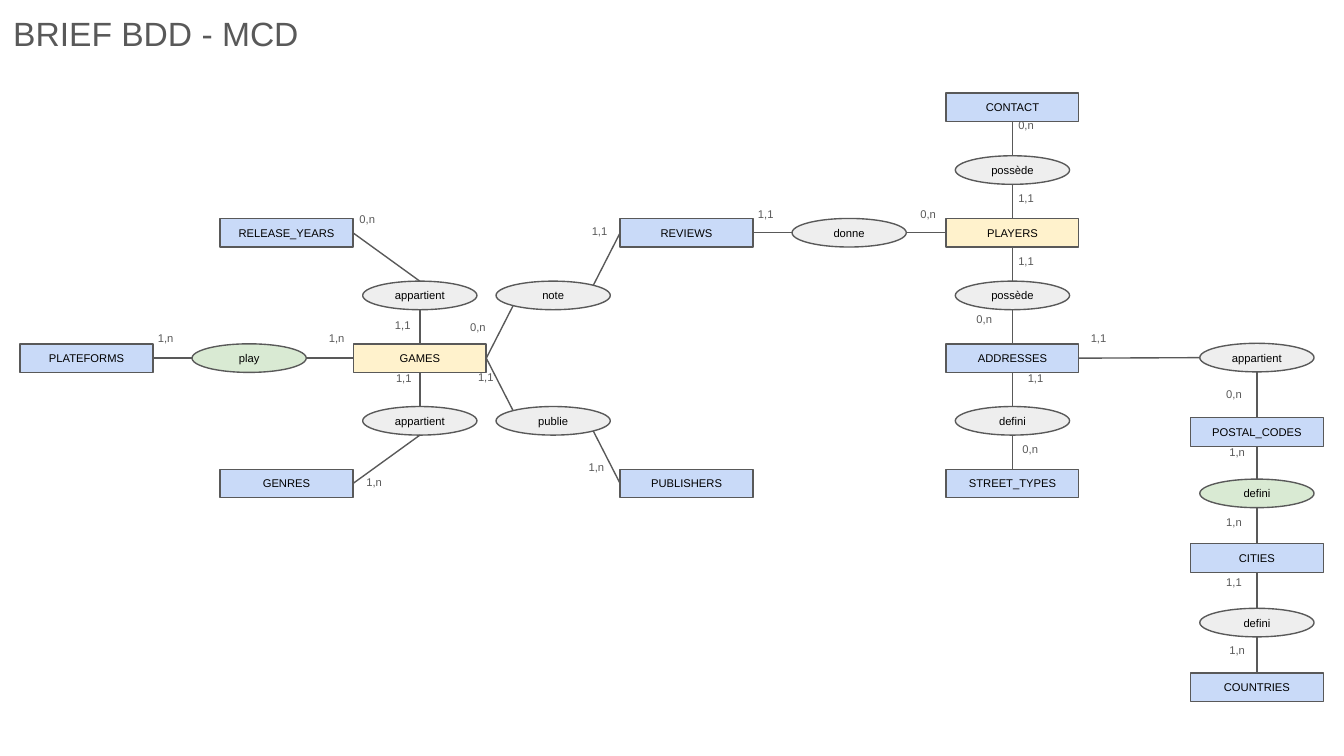
from lxml import etree
from pptx import Presentation
from pptx.dml.color import RGBColor
from pptx.enum.shapes import MSO_CONNECTOR, MSO_SHAPE
from pptx.enum.text import MSO_ANCHOR, MSO_AUTO_SIZE, PP_ALIGN
from pptx.oxml.ns import qn
from pptx.util import Cm, Pt

RECTANGLE, OVAL = MSO_SHAPE.RECTANGLE, MSO_SHAPE.OVAL
STRAIGHT = MSO_CONNECTOR.STRAIGHT
MIDDLE, TOP = MSO_ANCHOR.MIDDLE, MSO_ANCHOR.TOP
CENTER, LEFT = PP_ALIGN.CENTER, PP_ALIGN.LEFT
FIT, NO_FIT = MSO_AUTO_SIZE.SHAPE_TO_FIT_TEXT, MSO_AUTO_SIZE.NONE

COLORS = {"main": "FFF2CC", "entity": "C9DAF8", "relation": "EEEEEE",
          "many": "D9EAD3", "line": "595959", "label": "595959", "text": "000000"}
ENTITY_W, RELATION_W, NODE_H = 2.51, 2.16, 0.54
LABEL_W, LABEL_H = 0.97, 0.76
COLUMN_STEP = 2.52

# Attachment points as fractions of a node's size, from its centre
SIDES = {"top": (0, -0.5), "bottom": (0, 0.5), "left": (-0.5, 0), "right": (0.5, 0),
         "top left": (-0.35, -0.35), "top right": (0.35, -0.35),
         "bottom left": (-0.35, 0.35), "bottom right": (0.35, 0.35)}


def color(key):
    return RGBColor.from_string(COLORS[key])


def write(shape, text, size, ink, align, anchor, fit):
    frame = shape.text_frame
    frame_format = {"word_wrap": True, "vertical_anchor": anchor, "auto_size": fit}
    for side in ("left", "right", "top", "bottom"):
        frame_format[f"margin_{side}"] = Cm(0.25)
    for name, value in frame_format.items():
        setattr(frame, name, value)
    paragraph = frame.paragraphs[0]
    paragraph.text, paragraph.alignment = text, align
    for name, value in {"name": "Arial", "size": Pt(size)}.items():
        setattr(paragraph.font, name, value)
    paragraph.font.color.rgb = color(ink)


def add_label(slide, box, text, size):
    label = slide.shapes.add_textbox(*map(Cm, box))
    write(label, text, size, "label", LEFT, TOP, FIT)


def add_node(slide, outline, center, width, text, fill):
    """Draw an entity or a relation and return its centre and width."""
    x, y = center
    node = slide.shapes.add_shape(outline, Cm(x - width / 2), Cm(y - NODE_H / 2),
                                  Cm(width), Cm(NODE_H))
    node.shadow.inherit = False
    node.fill.solid()
    node.fill.fore_color.rgb = color(fill)
    node.line.color.rgb = color("line")
    node.line.width = Pt(0.75)
    write(node, text, 6, "text", CENTER, MIDDLE, NO_FIT)
    return x, y, width


def side_point(node, side):
    x, y, width = node
    across, down = SIDES[side]
    return Cm(x + across * width), Cm(y + down * NODE_H)


def add_link(slide, start, end):
    link = slide.shapes.add_connector(STRAIGHT, *start, *end)
    link.line.color.rgb = color("line")
    link.line.width = Pt(0.75)
    etree.SubElement(link._element.spPr, qn("a:effectLst"))


def draw_part(slide, box, rows, entities, relations, neighbors):
    """Draw entities, then relations with their legs, on the grid of the box.

    A leg is: entity, its side, side of the relation, cardinality,
    and the offset of the cardinality from the entity's centre.
    """
    left, top, height = box
    row_step = (height - NODE_H) / (rows - 1)

    def center(column, row):
        return (left + ENTITY_W / 2 + column * COLUMN_STEP,
                top + NODE_H / 2 + row * row_step)

    known = dict(neighbors)
    for name, fill, column, row in entities:
        known[name] = add_node(slide, RECTANGLE, center(column, row), ENTITY_W, name, fill)
    for name, fill, column, row, legs in relations:
        relation = add_node(slide, OVAL, center(column, row), RELATION_W, name, fill)
        for entity, entity_side, relation_side, cardinality, dx, dy in legs:
            x, y, _ = known[entity]
            add_link(slide, side_point(known[entity], entity_side),
                     side_point(relation, relation_side))
            add_label(slide, (x + dx, y + dy, LABEL_W, LABEL_H), cardinality, 6)
    return known


def draw_title(slide, box):
    add_label(slide, box, "BRIEF BDD - MCD", 18)


def draw_players(slide, box):
    entities = [("CONTACT", "entity", 0, 0), ("PLAYERS", "main", 0, 2),
                ("ADDRESSES", "entity", 0, 4), ("STREET_TYPES", "entity", 0, 6)]
    relations = [
        ("possède", "relation", 0, 1, [
            ("CONTACT", "bottom", "top", "0,n", -0.14, 0.08),
            ("PLAYERS", "top", "bottom", "1,1", -0.14, -0.91)]),
        ("possède", "relation", 0, 3, [
            ("PLAYERS", "bottom", "top", "1,1", -0.14, 0.28),
            ("ADDRESSES", "top", "bottom", "0,n", -0.93, -0.99)]),
        ("defini", "relation", 0, 5, [
            ("ADDRESSES", "bottom", "top", "1,1", 0.04, 0.13),
            ("STREET_TYPES", "top", "bottom", "0,n", -0.06, -0.91)]),
    ]
    return draw_part(slide, box, 7, entities, relations, {})


def draw_games(slide, box, players):
    entities = [("GAMES", "main", 2.5, 2), ("PLATEFORMS", "entity", 0, 2),
                ("RELEASE_YEARS", "entity", 1.5, 0), ("GENRES", "entity", 1.5, 4),
                ("REVIEWS", "entity", 4.5, 0), ("PUBLISHERS", "entity", 4.5, 4)]
    relations = [
        ("play", "many", 1.22, 2, [
            ("PLATEFORMS", "right", "left", "1,n", 1.1, -0.64),
            ("GAMES", "left", "right", "1,n", -1.97, -0.64)]),
        ("appartient", "relation", 2.5, 1, [
            ("RELEASE_YEARS", "right", "top", "0,n", 1.13, -0.51),
            ("GAMES", "top", "bottom", "1,1", -0.72, -0.89)]),
        ("appartient", "relation", 2.5, 3, [
            ("GAMES", "bottom", "top", "1,1", -0.7, 0.13),
            ("GENRES", "right", "bottom", "1,n", 1.26, -0.28)]),
        ("note", "relation", 3.5, 1, [
            ("GAMES", "right", "bottom left", "0,n", 0.7, -0.84),
            ("REVIEWS", "left", "top right", "1,1", -2.04, -0.28)]),
        ("publie", "relation", 3.5, 3, [
            ("GAMES", "right", "top left", "1,1", 0.85, 0.1),
            ("PUBLISHERS", "left", "bottom right", "1,n", -2.1, -0.56)]),
        ("donne", "relation", 5.72, 0, [
            ("REVIEWS", "right", "left", "1,1", 1.1, -0.61),
            ("PLAYERS", "left", "right", "0,n", -1.99, -0.61)]),
    ]
    draw_part(slide, box, 5, entities, relations, players)


def draw_places(slide, box, players):
    entities = [("POSTAL_CODES", "entity", 0, 1.13), ("CITIES", "entity", 0, 3.04),
                ("COUNTRIES", "entity", 0, 5)]
    relations = [
        ("appartient", "relation", 0, 0, [
            ("ADDRESSES", "right", "left", "1,1", 1.23, -0.64),
            ("POSTAL_CODES", "top", "bottom", "0,n", -0.83, -0.97)]),
        ("defini", "many", 0, 2.06, [
            ("POSTAL_CODES", "bottom", "top", "1,n", -0.77, 0.13),
            ("CITIES", "top", "bottom", "1,n", -0.83, -0.93)]),
        ("defini", "relation", 0, 4.02, [
            ("CITIES", "bottom", "top", "1,1", -0.83, 0.19),
            ("COUNTRIES", "top", "bottom", "1,n", -0.77, -0.95)]),
    ]
    draw_part(slide, box, 6, entities, relations, players)


def main():
    deck = Presentation()
    deck.slide_width, deck.slide_height = Cm(25.4), Cm(14.29)
    slide = deck.slides.add_slide(deck.slide_layouts[6])
    draw_title(slide, (0, 0, 8.61, 1.27))
    # Each part of the model: left, top, height
    players = draw_players(slide, (17.88, 1.76, 7.65))
    draw_games(slide, (0.38, 4.13, 5.28), players)
    draw_places(slide, (22.5, 6.49, 6.77), players)
    deck.save("out.pptx")


if __name__ == "__main__":
    main()
